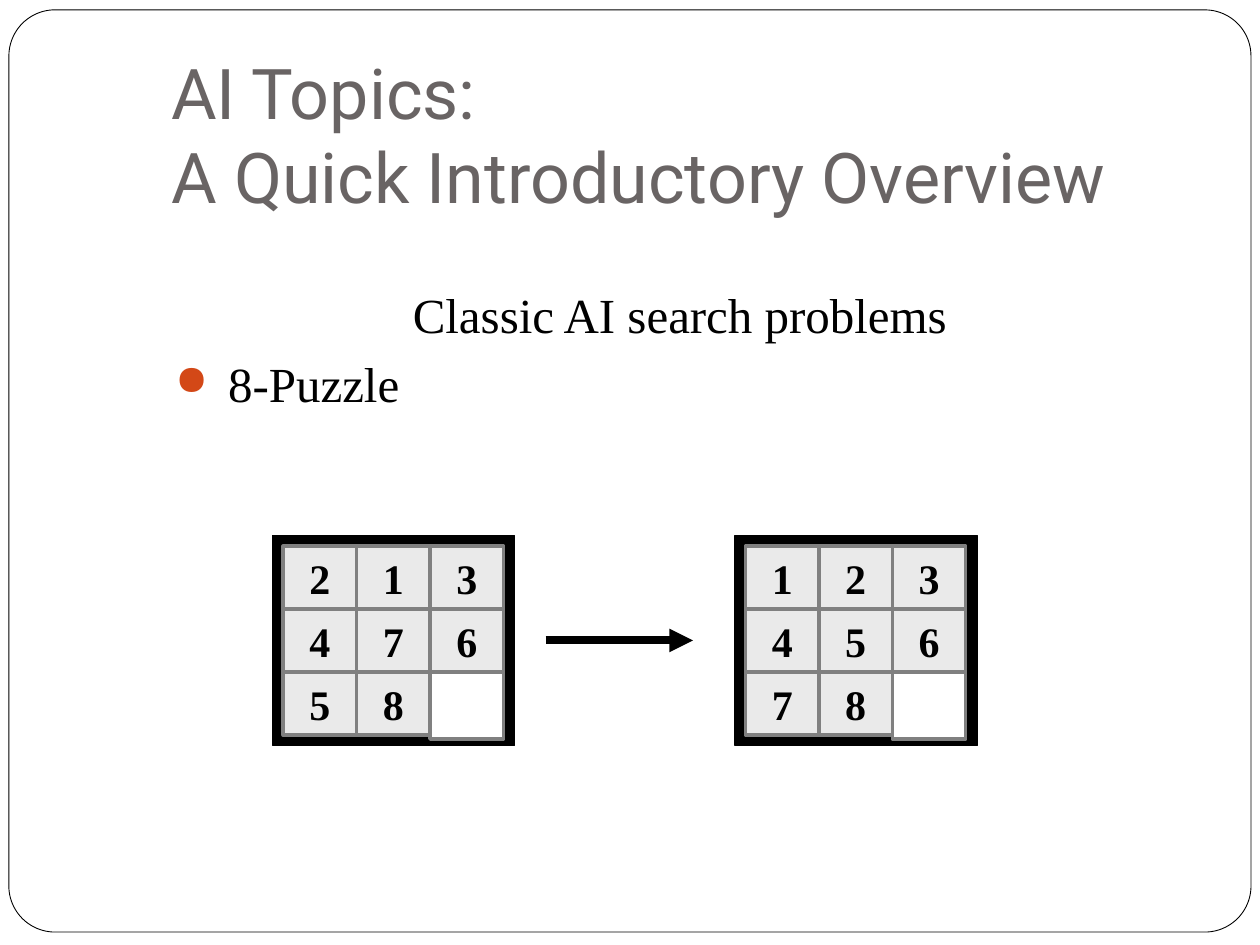
from lxml import etree
from pptx import Presentation
from pptx.dml.color import RGBColor
from pptx.enum.shapes import MSO_CONNECTOR, MSO_SHAPE
from pptx.enum.text import MSO_ANCHOR, PP_ALIGN
from pptx.oxml.ns import qn
from pptx.util import Cm, Pt

RECT, ROUNDED = MSO_SHAPE.RECTANGLE, MSO_SHAPE.ROUNDED_RECTANGLE
STRAIGHT = MSO_CONNECTOR.STRAIGHT
TOP, BOTTOM = MSO_ANCHOR.TOP, MSO_ANCHOR.BOTTOM
LEFT, CENTER = PP_ALIGN.LEFT, PP_ALIGN.CENTER

# Content
TITLE = "AI Topics: \vA Quick Introductory Overview"
SUBTITLE = "Classic AI search problems"
PROBLEM = "8-Puzzle"
START_STATE = ["213", "476", "58 "]
GOAL_STATE = ["123", "456", "78 "]

# Style and layout, lengths in cm
HEADING_FONT, BODY_FONT = "Roboto", "Times New Roman"
BLACK, WHITE, GREY = "000000", "FFFFFF", "808080"
TITLE_GREY, TILE_FILL, ACCENT = "696464", "EAEAEA", "D34817"
BOARD_TOP, BOARD_WIDTH, BOARD_HEIGHT = 10.8, 4.88, 4.23
TILE_WIDTH, TILE_HEIGHT, GAP_HEIGHT = 1.48, 1.27, 1.35
BOARD_BORDER = 0.21
BOARDS = [(5.5, START_STATE), (14.82, GOAL_STATE)]
ARROW_START, ARROW_END, ARROW_Y = 11, 13.97, 12.91


def rgb(value):
    return RGBColor.from_string(value)


def add_box(shapes, kind, left, top, width, height, fill, line, line_width):
    box = shapes.add_shape(kind, Cm(left), Cm(top), Cm(width), Cm(height))
    box.shadow.inherit = False
    box.fill.solid()
    box.fill.fore_color.rgb = rgb(fill)
    box.line.color.rgb = rgb(line)
    box.line.width = Pt(line_width)
    return box


def add_text_box(shapes, left, top, width, height, anchor):
    frame = shapes.add_textbox(Cm(left), Cm(top), Cm(width), Cm(height)).text_frame
    frame.word_wrap = True
    frame.vertical_anchor = anchor
    return frame


def write(paragraph, text, font, size, color, align=LEFT, bold=False):
    paragraph.text = text
    paragraph.alignment = align
    for run in paragraph.runs:
        run.font.name = font
        run.font.size = Pt(size)
        run.font.bold = bold
        run.font.color.rgb = rgb(color)


def add_bullet(paragraph, color, percent, indent):
    props = paragraph._p.get_or_add_pPr()
    props.set("marL", str(Cm(indent)))
    props.set("indent", str(-Cm(indent)))
    bullet_color = etree.SubElement(props, qn("a:buClr"))
    etree.SubElement(bullet_color, qn("a:srgbClr"), val=color)
    etree.SubElement(props, qn("a:buSzPct"), val=str(percent * 1000))
    etree.SubElement(props, qn("a:buChar"), char="●")


def add_board(shapes, left, state):
    board = shapes.add_group_shape().shapes
    add_box(board, RECT, left, BOARD_TOP, BOARD_WIDTH, BOARD_HEIGHT, BLACK, BLACK, 0.75)
    for row, digits in enumerate(state):
        for column, digit in enumerate(digits):
            empty = digit == " "
            tile = add_box(board, RECT,
                           left + BOARD_BORDER + column * TILE_WIDTH,
                           BOARD_TOP + BOARD_BORDER + row * TILE_HEIGHT,
                           TILE_WIDTH, GAP_HEIGHT if empty else TILE_HEIGHT,
                           WHITE if empty else TILE_FILL, GREY, 2)
            if not empty:
                tile.text_frame.vertical_anchor = TOP
                write(tile.text_frame.paragraphs[0], digit, BODY_FONT, 24, BLACK,
                      CENTER, bold=True)


def add_arrow(shapes):
    arrow = shapes.add_connector(STRAIGHT, Cm(ARROW_START), Cm(ARROW_Y),
                                 Cm(ARROW_END), Cm(ARROW_Y))
    arrow.line.color.rgb = rgb(BLACK)
    arrow.line.width = Pt(4.5)
    etree.SubElement(arrow.line._get_or_add_ln(), qn("a:tailEnd"), type="triangle")
    etree.SubElement(arrow._element.spPr, qn("a:effectLst"))


def main():
    deck = Presentation()
    deck.slide_width, deck.slide_height = Cm(25.4), Cm(19.05)
    shapes = deck.slides.add_slide(deck.slide_layouts[6]).shapes

    # Slide frame
    frame = add_box(shapes, ROUNDED, 0.18, 0.2, 25.04, 18.59, WHITE, BLACK, 0.5)
    frame.adjustments[0] = 0.05

    # Title
    title = add_text_box(shapes, 3.2, 0.58, 21.64, 4.06, BOTTOM)
    title.margin_bottom = Cm(0.25)
    write(title.paragraphs[0], TITLE, HEADING_FONT, 40, TITLE_GREY)

    # Subtitle and problem name
    body = add_text_box(shapes, 3.28, 5.61, 20.85, 3.71, TOP)
    write(body.paragraphs[0], SUBTITLE, BODY_FONT, 28, BLACK, CENTER)
    problem = body.add_paragraph()
    add_bullet(problem, ACCENT, 85, 1.07)
    problem.space_before = Pt(5.8)
    write(problem, PROBLEM, BODY_FONT, 28, BLACK)

    # Puzzle boards, start to goal
    for left, state in BOARDS:
        add_board(shapes, left, state)
    add_arrow(shapes)

    deck.save("out.pptx")


if __name__ == "__main__":
    main()
